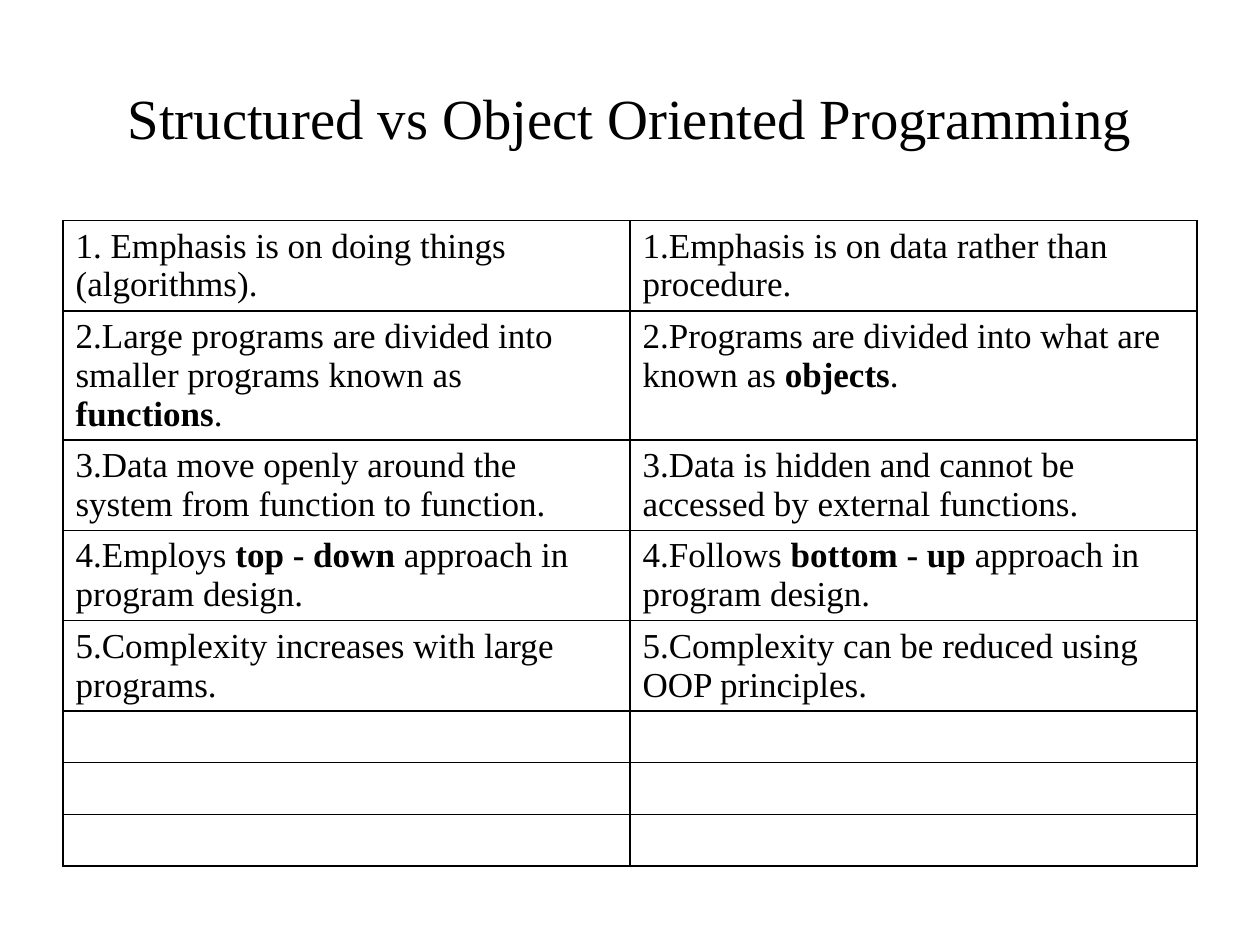
from lxml import etree
from pptx import Presentation
from pptx import util as u
from pptx.dml import color
from pptx.enum import text
from pptx.oxml import ns

COLORS = {"ink": "000000", "paper": "FFFFFF"}
TITLE_FORMAT = {"name": "Times New Roman", "size": u.Pt(32.4), "bold": False}
CELL_FORMAT = {"name": "Times New Roman", "size": u.Pt(20)}
TITLE_BOX = (36, 21.6, 648, 90)
TABLE_BOX = (36, 126, 648, 236.16)
BORDER_WIDTH = u.Pt(1)
EMPTY_ROWS = 3

COMPARISON = [
    (["1. Emphasis is on doing things (algorithms)."],
     ["1.Emphasis is on data rather than procedure."]),
    (["2.Large programs are divided into smaller programs known as ", "functions", "."],
     ["2.Programs are divided into what are known as ", "objects", "."]),
    (["3.Data move openly around the system from function to function."],
     ["3.Data is hidden and cannot be accessed by external functions."]),
    (["4.Employs ", "top - down", " approach in program design."],
     ["4.Follows ", "bottom - up", " approach in program design."]),
    (["5.Complexity increases with large programs."],
     ["5.Complexity can be reduced using OOP principles."]),
]


def rgb(name):
    return color.RGBColor.from_string(COLORS[name])


def format_font(font, values):
    for attribute, value in values.items():
        setattr(font, attribute, value)
    font.color.rgb = rgb("ink")


def add_borders(cell):
    properties = cell._tc.get_or_add_tcPr()
    for index, side in enumerate(("lnL", "lnR", "lnT", "lnB")):
        line = etree.Element(ns.qn(f"a:{side}"), w=str(BORDER_WIDTH))
        fill = etree.SubElement(line, ns.qn("a:solidFill"))
        etree.SubElement(fill, ns.qn("a:srgbClr"), val=COLORS["ink"])
        properties.insert(index, line)


def fill_cell(cell, pieces):
    cell.fill.background()
    add_borders(cell)
    paragraph = cell.text_frame.paragraphs[0]
    for index, piece in enumerate(pieces):
        run = paragraph.add_run()
        run.text = piece
        format_font(run.font, {**CELL_FORMAT, "bold": index % 2 == 1})


def place_title(slide, box, wording):
    title = slide.shapes.title
    title.left, title.top, title.width, title.height = map(u.Pt, box)
    frame = title.text_frame
    frame.text = wording
    frame.word_wrap = True
    frame.auto_size = text.MSO_AUTO_SIZE.NONE
    frame.vertical_anchor = text.MSO_ANCHOR.MIDDLE
    paragraph = frame.paragraphs[0]
    paragraph.alignment = text.PP_ALIGN.CENTER
    format_font(paragraph.runs[0].font, TITLE_FORMAT)


def place_comparison(slide, box, rows):
    table = slide.shapes.add_table(len(rows), 2, *map(u.Pt, box)).table
    table.first_row = table.horz_banding = False
    for row_index, row in enumerate(rows):
        for column_index, pieces in enumerate(row):
            fill_cell(table.cell(row_index, column_index), pieces)


def main():
    presentation = Presentation()
    presentation.slide_width, presentation.slide_height = u.Pt(720), u.Pt(540)
    slide = presentation.slides.add_slide(presentation.slide_layouts[5])
    slide.background.fill.solid()
    slide.background.fill.fore_color.rgb = rgb("paper")
    place_title(slide, TITLE_BOX, "Structured vs Object Oriented Programming")
    place_comparison(slide, TABLE_BOX, COMPARISON + [([], [])] * EMPTY_ROWS)
    presentation.save("out.pptx")


if __name__ == "__main__":
    main()
